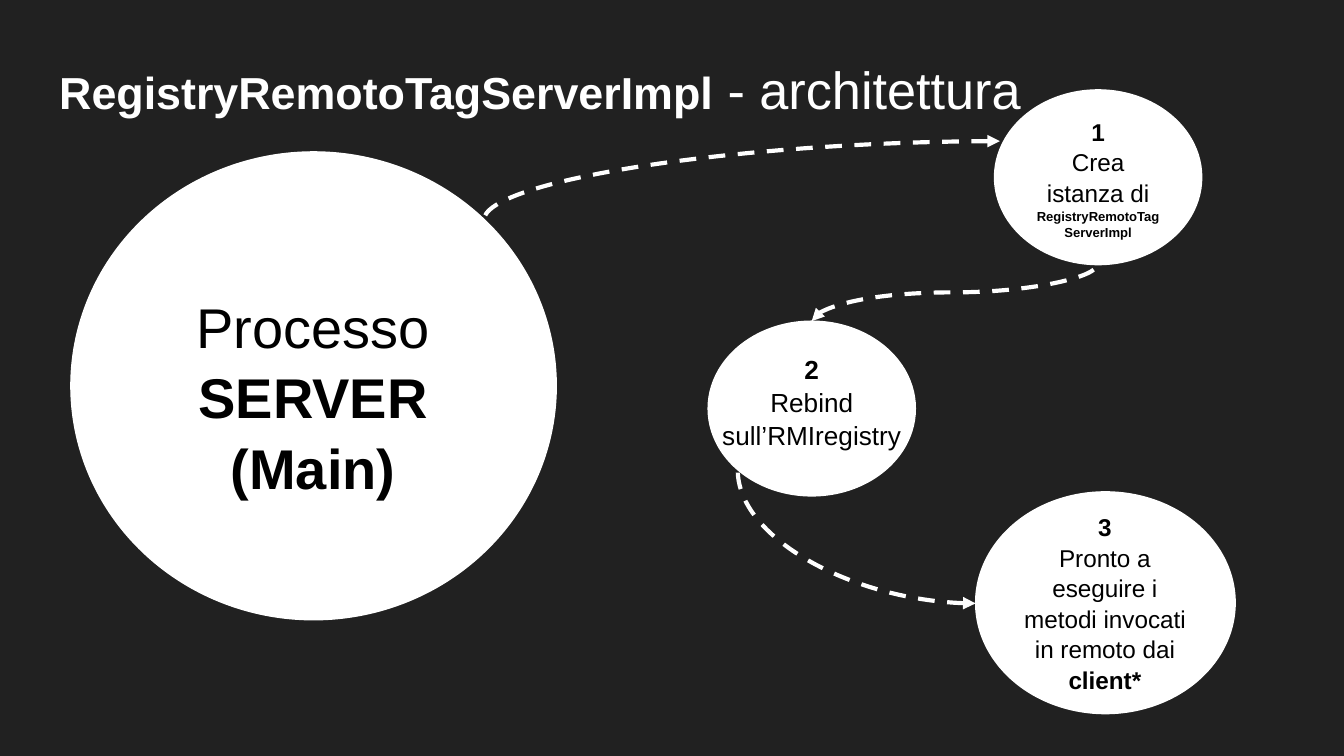
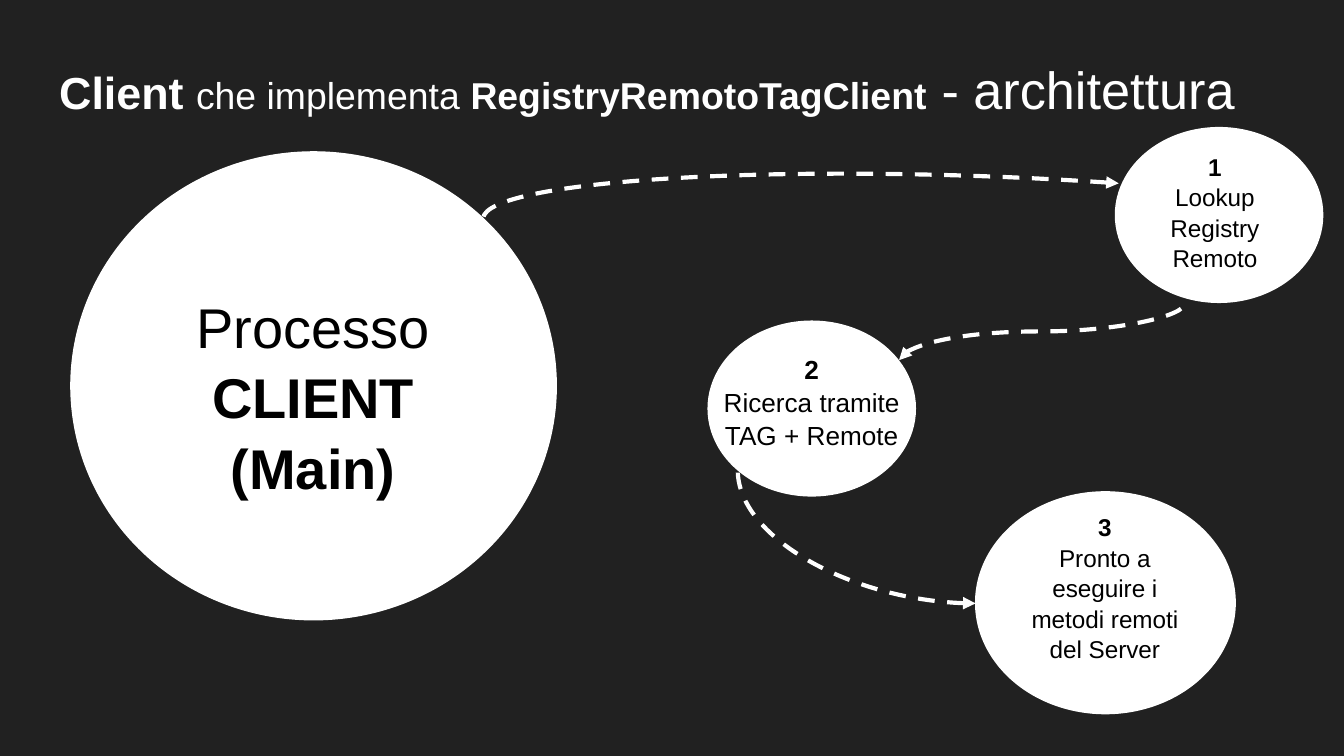
from lxml.etree import SubElement
from pptx import Presentation
from pptx.dml.color import RGBColor
from pptx.enum.dml import MSO_LINE
from pptx.enum.shapes import MSO_CONNECTOR, MSO_SHAPE
from pptx.enum.text import MSO_ANCHOR, PP_ALIGN
from pptx.oxml.ns import qn
from pptx.util import Pt

COLORS = {"background": "212121", "light": "FFFFFF", "dark": "000000"}
FONT = "Arial"
LINE_SPACING = 1.05


def rgb(name):
    return RGBColor.from_string(COLORS[name])


def write(frame, paragraphs, color, align):
    frame.word_wrap = True
    frame.vertical_anchor = MSO_ANCHOR.TOP
    frame.margin_left = frame.margin_right = Pt(7.2)
    frame.margin_top = frame.margin_bottom = Pt(7.2)
    for index, pieces in enumerate(paragraphs):
        paragraph = frame.add_paragraph() if index else frame.paragraphs[0]
        paragraph.alignment = align
        paragraph.line_spacing = LINE_SPACING
        paragraph.space_before = Pt(0)
        for text, size, bold in pieces:
            run = paragraph.add_run()
            run.text = text
            run.font.name = FONT
            run.font.size = Pt(size)
            run.font.bold = bold
            run.font.color.rgb = rgb(color)


process_circle = (38, 81.4, 260, 250.6)
process_label = (58.3, 147.6, 218.9, 118.8)
rebind_circle = (379.4, 172.1, 111, 93.6)
rebind_label = (379.4, 181.4, 111, 61.2)
ready_circle = (522.7, 263.5, 139, 118.8)
ready_label = (536.4, 266.4, 111, 107.3)
ready_arrow = (522.7, 323.3, 395.3, 252, "curvedConnector2", 0)

architectures = [
    {
        "title": [("RegistryRemotoTagServerImpl", 24, True), (" - architettura", 28, False)],
        "process": "SERVER",
        "first_circle": (532.8, 48.2, 111, 93.6),
        "first_label": (547.2, 54.7, 82.1, 74.9),
        "first": [
            [("1", 13, True)],
            [("Crea istanza di ", 13, False), ("RegistryRemotoTagServerImpl", 7, True)],
        ],
        "second": "Rebind sull’RMIregistry",
        "third": [
            ("Pronto a eseguire i metodi invocati in remoto dai ", 13, False),
            ("client*", 13, True),
        ],
        "arrows": [
            (535.7, 75.6, 259.2, 118.1, "curvedConnector2", 0),
            (496.1, 79.9, 527, 233.3, "curvedConnector3", 270),
        ],
    },
    {
        "title": [
            ("Client ", 24, True),
            ("che implementa ", 20, False),
            ("RegistryRemotoTagClient", 20, True),
            (" - architettura", 28, False),
        ],
        "process": "CLIENT",
        "first_circle": (597.6, 68.4, 111, 93.6),
        "first_label": (609.8, 73.4, 82.1, 74.9),
        "first": [[("1", 13, True)], [("Lookup", 13, False)], [("Registry Remoto", 13, False)]],
        "second": "Ricerca tramite TAG + Remote",
        "third": [("Pronto a eseguire i metodi remoti del Server", 13, False)],
        "arrows": [
            (598.3, 86.4, 259.9, 128.9, "curvedConnector2", 4),
            (542.9, 100.8, 573.8, 254.2, "curvedConnector3", 270),
        ],
    },
]

presentation = Presentation()
presentation.slide_width = Pt(720)
presentation.slide_height = Pt(405)
background = presentation.slide_master.background.fill
background.solid()
background.fore_color.rgb = rgb("background")

title_layout = presentation.slide_layouts[5]
title_area = title_layout.placeholders[0]
title_area.left, title_area.top = Pt(24.5), Pt(21.6)
title_area.width, title_area.height = Pt(671), Pt(45.4)

for architecture in architectures:
    slide = presentation.slides.add_slide(title_layout)
    write(slide.shapes.title.text_frame, [architecture["title"]], "light", PP_ALIGN.LEFT)

    steps = [
        (process_circle, process_label, [
            [("Processo", 30, False)],
            [(architecture["process"], 30, True)],
            [("(Main)", 30, True)],
        ]),
        (architecture["first_circle"], architecture["first_label"], architecture["first"]),
        (rebind_circle, rebind_label, [[("2", 14, True)], [(architecture["second"], 14, False)]]),
        (ready_circle, ready_label, [[("3", 13, True)], architecture["third"]]),
    ]
    for circle_area, label_area, paragraphs in steps:
        circle = slide.shapes.add_shape(MSO_SHAPE.OVAL, *map(Pt, circle_area))
        circle.shadow.inherit = False
        circle.fill.solid()
        circle.fill.fore_color.rgb = rgb("light")
        circle.line.color.rgb = rgb("light")
        circle.line.width = Pt(0.75)
        label = slide.shapes.add_textbox(*map(Pt, label_area))
        write(label.text_frame, paragraphs, "dark", PP_ALIGN.CENTER)

    for *ends, preset, angle in architecture["arrows"] + [ready_arrow]:
        arrow = slide.shapes.add_connector(MSO_CONNECTOR.CURVE, *map(Pt, ends))
        arrow.line.color.rgb = rgb("light")
        arrow.line.width = Pt(2.25)
        arrow.line.dash_style = MSO_LINE.DASH
        properties = arrow._element.spPr
        properties.find(qn("a:prstGeom")).set("prst", preset)
        if angle:
            properties.find(qn("a:xfrm")).set("rot", str(angle * 60000))
        SubElement(properties.find(qn("a:ln")), qn("a:headEnd"), type="triangle")
        SubElement(properties, qn("a:effectLst"))

presentation.save("out.pptx")
